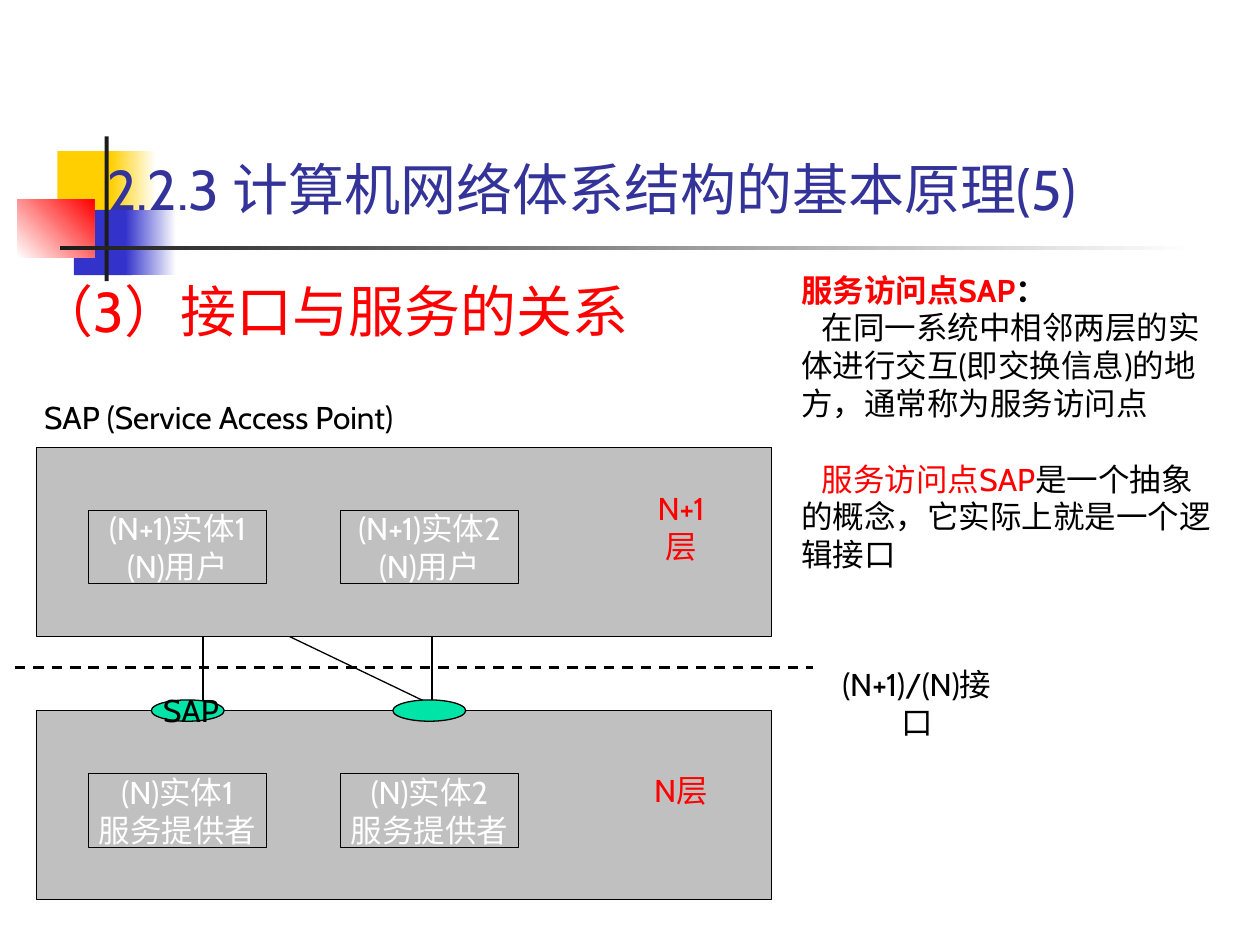
from lxml.etree import SubElement
from pptx import Presentation
from pptx.dml.color import RGBColor
from pptx.enum.dml import MSO_LINE
from pptx.enum.shapes import MSO_CONNECTOR, MSO_SHAPE
from pptx.enum.text import MSO_ANCHOR as Anchor, PP_ALIGN as Align
from pptx.oxml.ns import qn
from pptx.util import Cm, Pt

FONT = "Cabin"
BLACK, WHITE, RED, GREY = "000000", "FFFFFF", "FF0000", "C0C0C0"
YELLOW, BLUE, CHARCOAL = "FFCF01", "3333CC", "1C1C1C"
NAVY, GREEN = "333399", "00E4A8"


def color(hex_string):
    return RGBColor.from_string(hex_string)


def set_font(font, size, hex_string, bold=False):
    font.name, font.size, font.bold = FONT, Pt(size), bold
    font.color.rgb = color(hex_string)


def add_block(slide, box, fill, outline=None, kind=MSO_SHAPE.RECTANGLE):
    """Add a filled shape; box is left, top, width, height in cm."""
    shape = slide.shapes.add_shape(kind, *map(Cm, box))
    shape.shadow.inherit = False
    shape.fill.solid()
    shape.fill.fore_color.rgb = color(fill)
    if outline:
        shape.line.color.rgb = color(outline)
        shape.line.width = Pt(0.75)
    else:
        shape.line.fill.background()
    return shape


def add_fade(slide, box, start, end, angle=0):
    shape = add_block(slide, box, start)
    shape.fill.gradient()
    shape.fill.gradient_angle = angle
    for stop, hex_string, position in zip(shape.fill.gradient_stops, (start, end), (0, 1)):
        stop.color.rgb = color(hex_string)
        stop.position = position


def write_lines(shape, lines, size, hex_string, align=Align.CENTER,
                anchor=Anchor.MIDDLE, wrap=False):
    frame = shape.text_frame
    frame.word_wrap = wrap
    frame.vertical_anchor = anchor
    frame.text = "\n".join(lines)
    for paragraph in frame.paragraphs:
        paragraph.alignment = align
        set_font(paragraph.font, size, hex_string)
    return frame


def add_label(slide, box, text, size=18, hex_string=BLACK, **layout):
    label = slide.shapes.add_textbox(*map(Cm, box))
    return write_lines(label, [text], size, hex_string, **layout)


def add_line(slide, start, end, width=0.75):
    line = slide.shapes.add_connector(MSO_CONNECTOR.STRAIGHT, *map(Cm, start + end))
    line.line.color.rgb = color(BLACK)
    line.line.width = Pt(width)
    SubElement(line._element.spPr, qn("a:effectLst"))
    return line


def add_ornament(slide, left, top):
    """Draw the coloured squares and the crossing rules behind the title."""
    add_block(slide, (left + 0.81, top + 0.3, 1.22, 1.32), YELLOW)
    add_fade(slide, (left + 1.88, top + 0.3, 0.92, 1.32), YELLOW, WHITE)
    add_block(slide, (left + 1.14, top + 1.48, 1.17, 1.32), BLUE)
    add_fade(slide, (left + 2.18, top + 1.48, 1.02, 1.32), BLUE, WHITE)
    add_fade(slide, (left, top + 1.27, 1.55, 1.17), WHITE, RED, angle=45)
    add_block(slide, (left + 1.76, top, 0.08, 2.92), CHARCOAL)
    add_fade(slide, (left + 0.86, top + 2.2, 22.86, 0.09), CHARCOAL, WHITE)


def add_layer(slide, left, top, name, entities):
    """Draw one protocol layer with its entities and its name at the right."""
    add_block(slide, (left, top, 14.81, 3.81), GREY, BLACK)
    for index, lines in enumerate(entities):
        box = (left + 1.04 + index * 5.08, top + 1.27, 3.6, 1.48)
        write_lines(add_block(slide, box, GREY, BLACK), lines, 18, WHITE)
    add_label(slide, (left + 12.04, top + 1.06, 1.9, 1.07), name, hex_string=RED)


def add_diagram(slide, left, top):
    """Draw the two layers and the access points on the lower one."""
    lower = top + 5.31
    for start_x, start_y, end_x, end_y in (
            (3.35, 2.87, 3.35, 5.2), (3.55, 3.07, 8.43, 5.41), (7.97, 2.87, 7.97, 5.2)):
        add_line(slide, (left + start_x, top + start_y), (left + end_x, top + end_y))
    add_layer(slide, left, top, "N+1层",
              [(f"(N+1)实体{number}", "(N)用户") for number in (1, 2)])
    add_layer(slide, left, lower, "N层",
              [(f"(N)实体{number}", "服务提供者") for number in (1, 2)])
    for offset in (2.31, 7.18):
        add_block(slide, (left + offset, lower - 0.22, 1.47, 0.43), GREEN, BLACK,
                  MSO_SHAPE.OVAL)
    boundary = add_line(slide, (left - 0.44, top + 4.44), (left + 15.64, top + 4.44), 1.5)
    boundary.line.dash_style = MSO_LINE.DASH
    add_label(slide, (left + 2.26, lower - 0.56, 1.7, 1.07), "SAP")
    add_label(slide, (left + 15.74, top + 4.42, 4.01, 1.47), "(N+1)/(N)接口")


def add_explanation(slide, left, top):
    frame = slide.shapes.add_textbox(*map(Cm, (left, top, 8.79, 6.35))).text_frame
    frame.word_wrap = True
    paragraphs = [
        (True, 0, 0, [("服务访问点SAP", RED), ("：", BLACK)]),
        (False, 0.42, 0, [("在同一系统中相邻两层的实体进行交互(即交换信息)的地方，"
                           "通常称为服务访问点", BLACK)]),
        (False, 0.42, 21.6, [("服务访问点SAP", RED),
                             ("是一个抽象的概念，它实际上就是一个逻辑接口", BLACK)]),
    ]
    for index, (bold, indent, space, runs) in enumerate(paragraphs):
        paragraph = frame.add_paragraph() if index else frame.paragraphs[0]
        paragraph.space_before = Pt(space)
        paragraph._p.get_or_add_pPr().set("indent", str(Cm(indent)))
        for text, hex_string in runs:
            run = paragraph.add_run()
            run.text = text
            set_font(run.font, 18, hex_string, bold)


def add_headings(slide, left, top):
    add_label(slide, (left + 1.4, top, 22.6, 2.87), "2.2.3 计算机网络体系结构的基本原理(5)",
              32, NAVY, align=Align.LEFT, anchor=Anchor.BOTTOM, wrap=True)
    subtitle = add_label(slide, (left, top + 3.88, 18.62, 1.6), "（3）接口与服务的关系",
                         32, RED, align=Align.LEFT, anchor=Anchor.TOP, wrap=True)
    subtitle.paragraphs[0].line_spacing = 0.9
    add_label(slide, (left + 0.13, top + 6.17, 8.18, 1.02), "SAP (Service Access Point)",
              align=Align.LEFT, anchor=Anchor.TOP)


def main():
    presentation = Presentation()
    presentation.slide_width, presentation.slide_height = Cm(25.4), Cm(19.05)
    slide = presentation.slides.add_slide(presentation.slide_layouts[6])
    add_ornament(slide, 0.35, 2.75)
    add_diagram(slide, 0.74, 9.02)
    add_explanation(slide, 15.9, 5.33)
    add_headings(slide, 0.51, 1.73)
    presentation.save("out.pptx")


if __name__ == "__main__":
    main()
